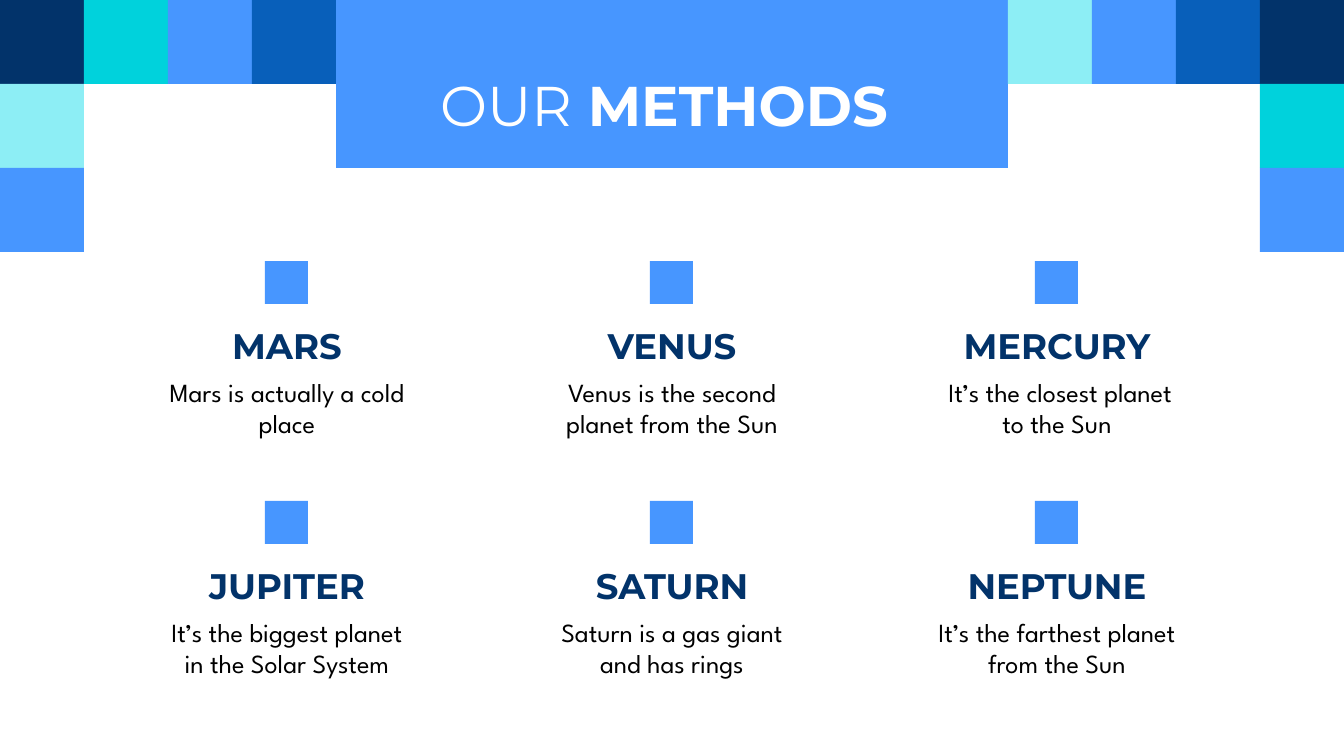
from pptx import Presentation
from pptx.dml.color import RGBColor
from pptx.enum.shapes import MSO_SHAPE
from pptx.enum.text import MSO_ANCHOR, MSO_AUTO_SIZE, PP_ALIGN
from pptx.util import Emu, Pt

EMU_PER_PX = 9144000 / 1344
NAVY, BLUE, ROYAL = "02336A", "4796FF", "085FBA"
TEAL, PALE, WHITE, BLACK = "00D2DC", "8DEEF5", "FFFFFF", "000000"
HEADING_FONT, BODY_FONT = "Montserrat", "League Spartan"


def px(length):
    return Emu(round(length * EMU_PER_PX))


def color(value):
    return RGBColor.from_string(value)


class SlideBuilder:
    """Holds the shared style and the current slide."""

    def __init__(self, page):
        self.page = page

    def square(self, left, top, side, fill):
        box = self.page.shapes.add_shape(
            MSO_SHAPE.RECTANGLE, px(left), px(top), px(side), px(side))
        box.shadow.inherit = False
        box.fill.solid()
        box.fill.fore_color.rgb = color(fill)
        box.line.fill.background()

    def set_frame(self, frame, anchor, top=13, bottom=13):
        frame.auto_size = MSO_AUTO_SIZE.NONE
        frame.word_wrap = True
        frame.vertical_anchor = anchor
        frame.margin_left = frame.margin_right = px(13)
        frame.margin_top, frame.margin_bottom = px(top), px(bottom)

    def set_paragraph(self, para, font, size, ink, bold=None):
        para.alignment = PP_ALIGN.CENTER
        para.font.name = font
        para.font.size = Pt(size)
        para.font.color.rgb = color(ink)
        para.font.bold = bold

    def banner(self, left, top, width, height, light, strong):
        box = self.page.shapes.title
        box.left, box.top = px(left), px(top)
        box.width, box.height = px(width), px(height)
        box.fill.solid()
        box.fill.fore_color.rgb = color(BLUE)
        self.set_frame(box.text_frame, MSO_ANCHOR.MIDDLE, top=40, bottom=0)
        para = box.text_frame.paragraphs[0]
        para.add_run().text = light
        span = para.add_run()
        span.text = strong
        span.font.bold = True
        self.set_paragraph(para, HEADING_FONT, 30, WHITE)

    def label(self, center, top, width, height, text, anchor, *style):
        box = self.page.shapes.add_textbox(
            px(center - width / 2), px(top), px(width), px(height))
        self.set_frame(box.text_frame, anchor)
        para = box.text_frame.paragraphs[0]
        para.text = text
        self.set_paragraph(para, *style)

    def method_card(self, center, top, name, description):
        self.square(center - 22, top, 43, BLUE)
        self.label(center, top + 45, 262, 74, name, MSO_ANCHOR.BOTTOM,
                   HEADING_FONT, 19, NAVY, True)
        self.label(center, top + 102, 277, 87, description, MSO_ANCHOR.TOP,
                   BODY_FONT, 14, BLACK)


def main():
    deck = Presentation()
    deck.slide_width, deck.slide_height = px(1344), px(756)
    builder = SlideBuilder(deck.slides.add_slide(deck.slide_layouts[5]))

    # Corner mosaic: (column, row) on a grid of 84 px tiles
    tile = 84
    mosaic = {
        (0, 0): NAVY, (1, 0): TEAL, (2, 0): BLUE, (3, 0): ROYAL,
        (0, 1): PALE, (0, 2): BLUE,
        (12, 0): PALE, (13, 0): BLUE, (14, 0): ROYAL, (15, 0): NAVY,
        (15, 1): TEAL, (15, 2): BLUE,
    }
    for (column, row), fill in mosaic.items():
        builder.square(column * tile, row * tile, tile, fill)

    # Title banner
    builder.banner(4 * tile, 0, 8 * tile, 2 * tile, "OUR", " METHODS ")

    # Methods in three columns and two rows
    methods = [
        ("MARS", "Mars is actually a cold place"),
        ("VENUS", "Venus is the second planet from the Sun"),
        ("MERCURY", " It’s the closest planet to the Sun"),
        ("JUPITER", "It’s the biggest planet in the Solar System"),
        ("SATURN", "Saturn is a gas giant and has rings"),
        ("NEPTUNE", "It’s the farthest planet from the Sun"),
    ]
    for index, (name, description) in enumerate(methods):
        row, column = divmod(index, 3)
        builder.method_card(287 + 385 * column, 261 + 240 * row,
                            name, description)

    deck.save("out.pptx")


if __name__ == "__main__":
    main()
